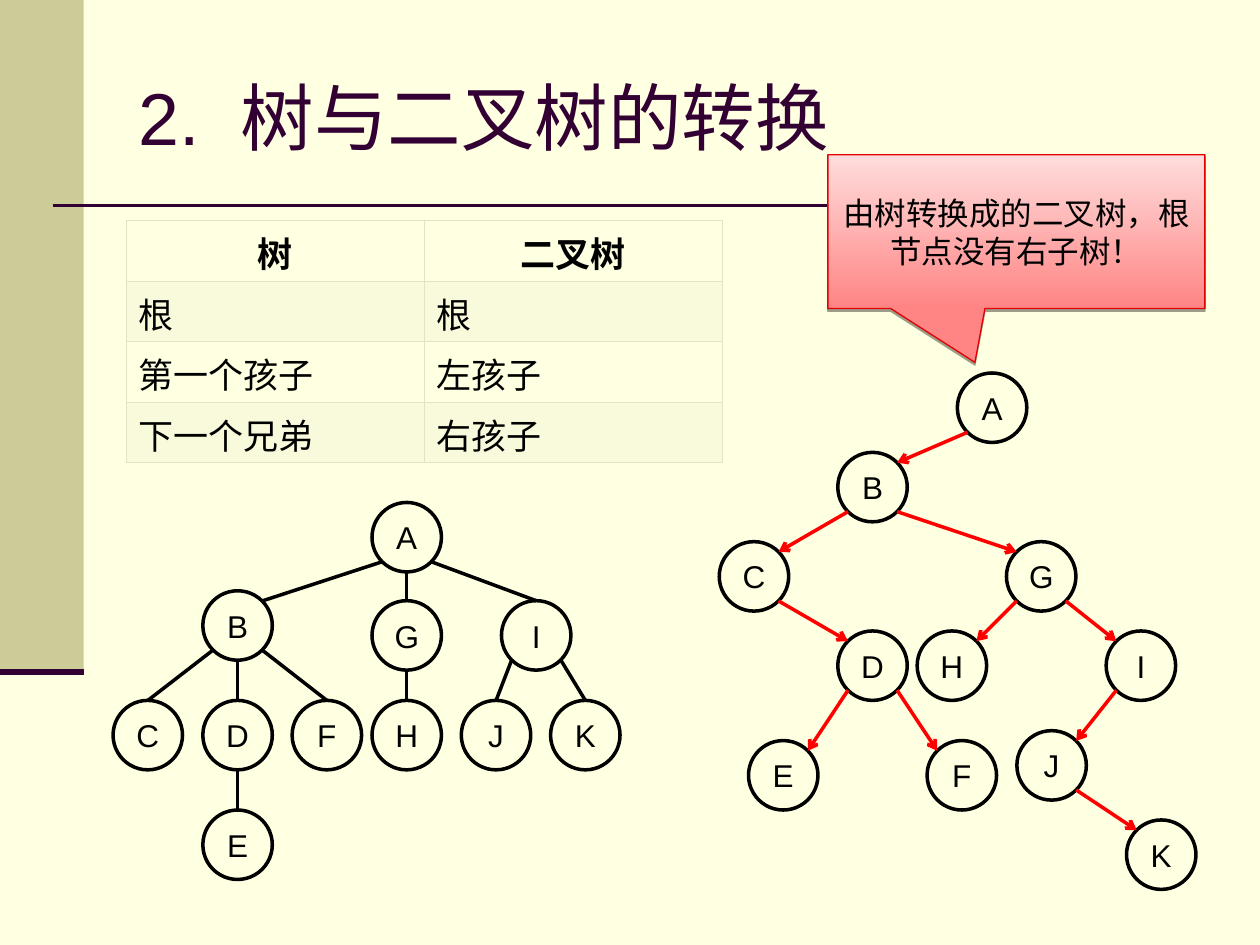
from math import cos, radians, sin

from lxml.etree import SubElement
from pptx import Presentation
from pptx.dml.color import RGBColor as Rgb
from pptx.enum.shapes import MSO_CONNECTOR as Connector, MSO_SHAPE as Shape
from pptx.enum.text import MSO_ANCHOR as Anchor, PP_ALIGN as Align
from pptx.oxml import parse_xml
from pptx.oxml.ns import nsdecls, qn
from pptx.util import Cm, Pt

THEME = {
    "font": "Arial",
    "paper": "FFFFE1", "band": "CCCC99", "plum": "330033",
    "ink": "000000", "grid": "E2E2CA", "arrow": "FF0000",
    "callout_line": "E50000", "callout_fill": ("FF8585", "FFDCDC"),
    "title": 42, "table": 20, "label": 18,
}

TITLE = [("2.", 0), (" ", 1170), ("树与二叉树的转换", 0)]
CALLOUT = "由树转换成的二叉树，根节点没有右子树！"
TABLE = [("树", "二叉树"), ("根", "根"), ("第一个孩子", "左孩子"), ("下一个兄弟", "右孩子")]

TREE = {
    "nodes": {
        "A": (8.2, 10.83), "B": (4.79, 12.61), "G": (8.2, 12.81), "I": (10.81, 12.81),
        "C": (2.98, 14.82), "D": (4.79, 14.82), "F": (6.59, 14.82), "H": (8.2, 14.82),
        "J": (10, 14.82), "K": (11.8, 14.82), "E": (4.79, 17.03),
    },
    "edges": ["AB", "AG", "AI", "BC", "BD", "BF", "GH", "DE", "IJ", "IK"],
    "color": THEME["ink"], "arrows": False, "diagonal_ends": ["AB"],
}
BINARY_TREE = {
    "nodes": {
        "A": (20, 8.22), "B": (17.59, 9.82), "C": (15.2, 11.62), "G": (20.99, 11.62),
        "D": (17.59, 13.42), "H": (19.19, 13.42), "I": (23, 13.42), "E": (15.79, 15.63),
        "F": (19.39, 15.63), "J": (21.2, 15.43), "K": (23.41, 17.23),
    },
    "edges": ["AB", "BC", "BG", "CD", "DE", "DF", "GH", "GI", "IJ", "JK"],
    "color": THEME["arrow"], "arrows": True,
}
BINARY_TREE["diagonal_ends"] = BINARY_TREE["edges"]
RADIUS = 0.7


def apply_formats(target, formats):
    for name, value in formats.items():
        setattr(target, name, value)


def add_run(paragraph, text, size, color="ink", bold=False):
    run = paragraph.add_run()
    run.text = text
    apply_formats(run.font, {"name": THEME["font"], "size": Pt(size), "bold": bold})
    run.font.color.rgb = Rgb.from_string(THEME[color])
    return run


def set_line(shape, color, width):
    shape.line.color.rgb = Rgb.from_string(color)
    shape.line.width = Pt(width)


def add_shape(slide, kind, box, fill=None):
    shape = slide.shapes.add_shape(kind, *map(Cm, box))
    shape.shadow.inherit = False
    if fill:
        shape.fill.solid()
        shape.fill.fore_color.rgb = Rgb.from_string(fill)
    return shape


def add_label(shape, text):
    shape.text_frame.vertical_anchor = Anchor.MIDDLE
    paragraph = shape.text_frame.paragraphs[0]
    paragraph.alignment = Align.CENTER
    add_run(paragraph, text, THEME["label"])


def add_line(slide, start, end, color, width, arrow=False):
    connector = slide.shapes.add_connector(Connector.STRAIGHT, *map(Cm, (*start, *end)))
    set_line(connector, color, width)
    if arrow:
        SubElement(connector.line._get_or_add_ln(), qn("a:tailEnd"), type="arrow")
    SubElement(connector._element.spPr, qn("a:effectLst"))


def rim_point(center, angle):
    x, y = center
    return x + RADIUS * cos(radians(angle)), y + RADIUS * sin(radians(angle))


def add_tree(slide, tree):
    nodes = tree["nodes"]
    for letter, (x, y) in nodes.items():
        box = (x - RADIUS, y - RADIUS, 2 * RADIUS, 2 * RADIUS)
        node = add_shape(slide, Shape.OVAL, box, THEME["paper"])
        set_line(node, THEME["ink"], 2)
        add_label(node, letter)
    for edge in tree["edges"]:
        parent, child = (nodes[letter] for letter in edge)
        side = (child[0] > parent[0]) - (child[0] < parent[0])
        start = rim_point(parent, 90 - 45 * side)
        end = rim_point(child, -90 - 45 * side * (edge in tree["diagonal_ends"]))
        add_line(slide, start, end, tree["color"], 2, tree["arrows"])


def add_title(slide):
    box = slide.shapes.add_textbox(*map(Cm, (2.54, 0.76, 21.59, 3.18)))
    apply_formats(box.text_frame, {"word_wrap": True, "vertical_anchor": Anchor.MIDDLE})
    for text, spacing in TITLE:
        run = add_run(box.text_frame.paragraphs[0], text, THEME["title"], "plum")
        if spacing:
            run.font._element.set("spc", str(spacing))


def style_cell(cell, row):
    if row % 2:
        cell.fill.solid()
        cell.fill.fore_color.rgb = Rgb.from_string(THEME["grid"])
        color = cell._tc.tcPr.find(".//" + qn("a:srgbClr"))
        SubElement(color, qn("a:alpha"), val="20000")
    else:
        cell.fill.background()
    heavy = {0: "lnB", 1: "lnT"}.get(row)
    for index, side in enumerate(("lnL", "lnR", "lnT", "lnB")):
        width = Pt(0.96 if side == heavy else 0.45)
        cell._tc.tcPr.insert(index, parse_xml(
            f'<a:{side} {nsdecls("a")} w="{width}"><a:solidFill>'
            f'<a:srgbClr val="{THEME["grid"]}"/></a:solidFill></a:{side}>'))


def add_comparison(slide):
    frame = slide.shapes.add_table(len(TABLE), 2, *map(Cm, (2.54, 4.45, 12.02, 4.88)))
    apply_formats(frame.table, {"first_row": False, "horz_banding": False})
    for row, texts in enumerate(TABLE):
        for column, text in enumerate(texts):
            cell = frame.table.cell(row, column)
            paragraph = cell.text_frame.paragraphs[0]
            paragraph.alignment = Align.LEFT if row else Align.CENTER
            add_run(paragraph, text, THEME["table"], bold=row == 0)
            style_cell(cell, row)


def add_callout(slide):
    callout = add_shape(slide, Shape.RECTANGULAR_CALLOUT, (16.69, 3.12, 7.6, 3.1))
    callout.adjustments[0], callout.adjustments[1] = -0.11, 0.85
    callout.fill.gradient()
    callout.fill.gradient_angle = 90
    for stop, color, position in zip(callout.fill.gradient_stops, THEME["callout_fill"], (0, 1)):
        stop.color.rgb = Rgb.from_string(color)
        stop.position = position
    set_line(callout, THEME["callout_line"], 0.75)
    effects = callout._element.spPr.find(qn("a:effectLst"))
    shadow = SubElement(effects, qn("a:outerShdw"), dist=str(Pt(1.6)), dir="5400000", rotWithShape="0")
    color = SubElement(shadow, qn("a:srgbClr"), val=THEME["ink"])
    SubElement(color, qn("a:alpha"), val="38000")
    add_label(callout, CALLOUT)


def main():
    presentation = Presentation()
    apply_formats(presentation, {"slide_width": Cm(25.4), "slide_height": Cm(19.05)})
    slide = presentation.slides.add_slide(presentation.slide_layouts[6])
    slide.background.fill.solid()
    slide.background.fill.fore_color.rgb = Rgb.from_string(THEME["paper"])
    band = add_shape(slide, Shape.RECTANGLE, (0, 0, 1.69, 13.55), THEME["band"])
    band.line.fill.background()
    add_line(slide, (1.06, 4.14), (24.13, 4.14), THEME["plum"], 1.5)
    add_line(slide, (0, 13.55), (1.69, 13.55), THEME["plum"], 3.5)
    add_title(slide)
    add_comparison(slide)
    add_tree(slide, TREE)
    add_tree(slide, BINARY_TREE)
    add_callout(slide)
    presentation.save("out.pptx")


if __name__ == "__main__":
    main()
